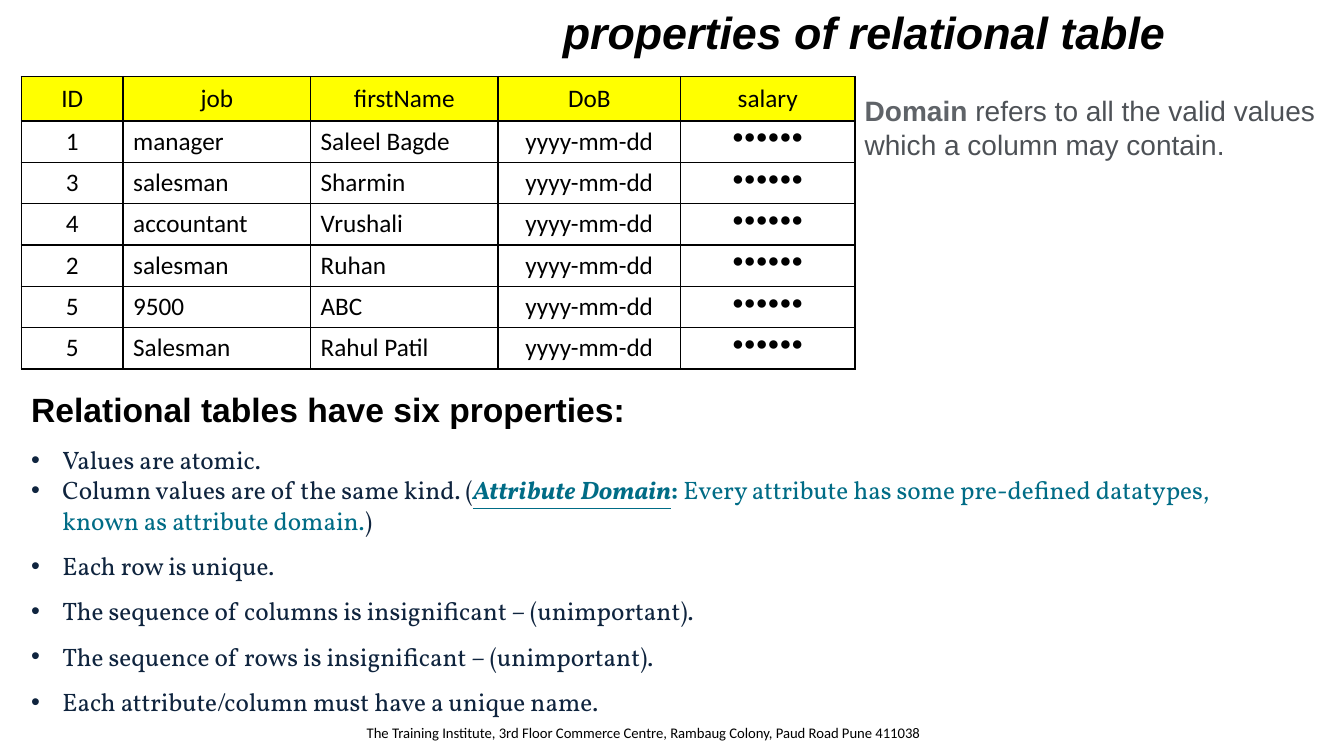
from pptx import Presentation
from pptx.dml.color import RGBColor
from pptx.enum.text import MSO_VERTICAL_ANCHOR as Anchor, PP_PARAGRAPH_ALIGNMENT as Align
from pptx.oxml.ns import qn
from pptx.util import Inches, Pt
from lxml.etree import SubElement

BLACK = RGBColor(0x00, 0x00, 0x00)
YELLOW = RGBColor(0xFF, 0xFF, 0x00)
NAVY = RGBColor(0x0F, 0x24, 0x3E)
TEAL = RGBColor(0x00, 0x6C, 0x86)
GRAY = RGBColor(0x5F, 0x63, 0x68)
DARK_GRAY = RGBColor(0x4D, 0x51, 0x56)

presentation = Presentation()
presentation.slide_width = Inches(13.33)
presentation.slide_height = Inches(7.5)
slide = presentation.slides.add_slide(presentation.slide_layouts[6])
column_unit = presentation.slide_width / 100
row_unit = presentation.slide_height / 100


def write(paragraph, text, size=18, name="Calibri", color=BLACK,
          bold=False, italic=False, underline=False):
    run = paragraph.add_run()
    run.text = text
    font = run.font
    font.size, font.name = Pt(size), name
    font.bold, font.italic, font.underline = bold, italic, underline
    font.color.rgb = color


def add_box(left, top, width, height):
    shape = slide.shapes.add_textbox(
        int(left * column_unit), int(top * row_unit),
        int(width * column_unit), int(height * row_unit))
    shape.text_frame.word_wrap = True
    return shape.text_frame


title = add_box(12.5, 0, 75, 8.5).paragraphs[0]
title.alignment = Align.RIGHT
write(title, "properties of relational table", size=32, name="Arial", bold=True, italic=True)

footer = add_box(26.55, 95.07, 44.3, 5.33).paragraphs[0]
write(footer, "The Training Institute, 3rd Floor Commerce Centre, Rambaug Colony, "
      "Paud Road Pune 411038", size=10.5)

domain = add_box(63.6, 11.73, 36.4, 10.27).paragraphs[0]
write(domain, "Domain", size=20, name="Arial", color=GRAY, bold=True)
write(domain, " refers to all the valid values which a column may contain.",
      size=20, name="Arial", color=DARK_GRAY)

headers = ["ID", "job", "firstName", "DoB", "salary"]
people = [
    ("1", "manager", "Saleel Bagde"),
    ("3", "salesman", "Sharmin"),
    ("4", "accountant", "Vrushali"),
    ("2", "salesman", "Ruhan"),
    ("5", "9500", "ABC"),
    ("5", "Salesman", "Rahul Patil"),
]
records = [headers] + [[*person, "yyyy-mm-dd", "●●●●●●"] for person in people]
column_shares = [7.58, 13.95, 13.95, 13.58, 12.98]
row_shares = [5.87] + [5.47] * len(people)

table = slide.shapes.add_table(
    len(records), len(headers), int(1.58 * column_unit), int(10.13 * row_unit),
    int(sum(column_shares) * column_unit), int(sum(row_shares) * row_unit)).table
for column, share in zip(table.columns, column_shares):
    column.width = int(share * column_unit)
for row, share in zip(table.rows, row_shares):
    row.height = int(share * row_unit)

for row_index, record in enumerate(records):
    for column_index, value in enumerate(record):
        cell = table.cell(row_index, column_index)
        is_header = row_index == 0
        is_hidden = value.startswith("●")
        properties = cell._tc.get_or_add_tcPr()
        for side in ("a:lnL", "a:lnR", "a:lnT", "a:lnB"):
            border = SubElement(properties, qn(side), w=str(Pt(1)))
            SubElement(SubElement(border, qn("a:solidFill")), qn("a:srgbClr"), val=str(BLACK))
        if is_header:
            cell.fill.solid()
            cell.fill.fore_color.rgb = YELLOW
            cell.vertical_anchor = Anchor.MIDDLE
        else:
            cell.fill.background()
        paragraph = cell.text_frame.paragraphs[0]
        is_left = not is_header and column_index in (1, 2)
        paragraph.alignment = Align.LEFT if is_left else Align.CENTER
        write(paragraph, value, size=14 if is_hidden else 18,
              name="Arial" if is_hidden else "Calibri")

body = add_box(1.58, 50.8, 95.1, 44.4)
write(body.paragraphs[0], "Relational tables have six properties:",
      size=24, name="Arial", bold=True)

table_properties = [
    (1.5, [("Values are atomic.", {})]),
    (1.0, [
        ("Column values are of the same kind. (", {}),
        ("Attribute Domain", dict(color=TEAL, bold=True, italic=True, underline=True)),
        (": ", dict(color=TEAL, bold=True)),
        ("Every attribute has some pre-defined datatypes, known as attribute domain.",
         dict(color=TEAL)),
        (")", {}),
    ]),
    (1.5, [("Each row is unique.", {})]),
    (1.5, [("The sequence of columns is insignificant – (unimportant).", {})]),
    (1.5, [("The sequence of rows is insignificant – (unimportant).", {})]),
    (1.5, [("Each attribute/column must have a unique name.", {})]),
]
for spacing, parts in table_properties:
    paragraph = body.add_paragraph()
    bullet = paragraph._p.get_or_add_pPr()
    bullet.set("marL", str(Inches(0.31)))
    bullet.set("indent", str(-Inches(0.31)))
    SubElement(bullet, qn("a:buFont"), typeface="Arial")
    SubElement(bullet, qn("a:buChar"), char="•")
    paragraph.line_spacing = spacing
    for text, emphasis in parts:
        write(paragraph, text, **{"name": "Vollkorn", "color": NAVY, **emphasis})

presentation.save("out.pptx")
